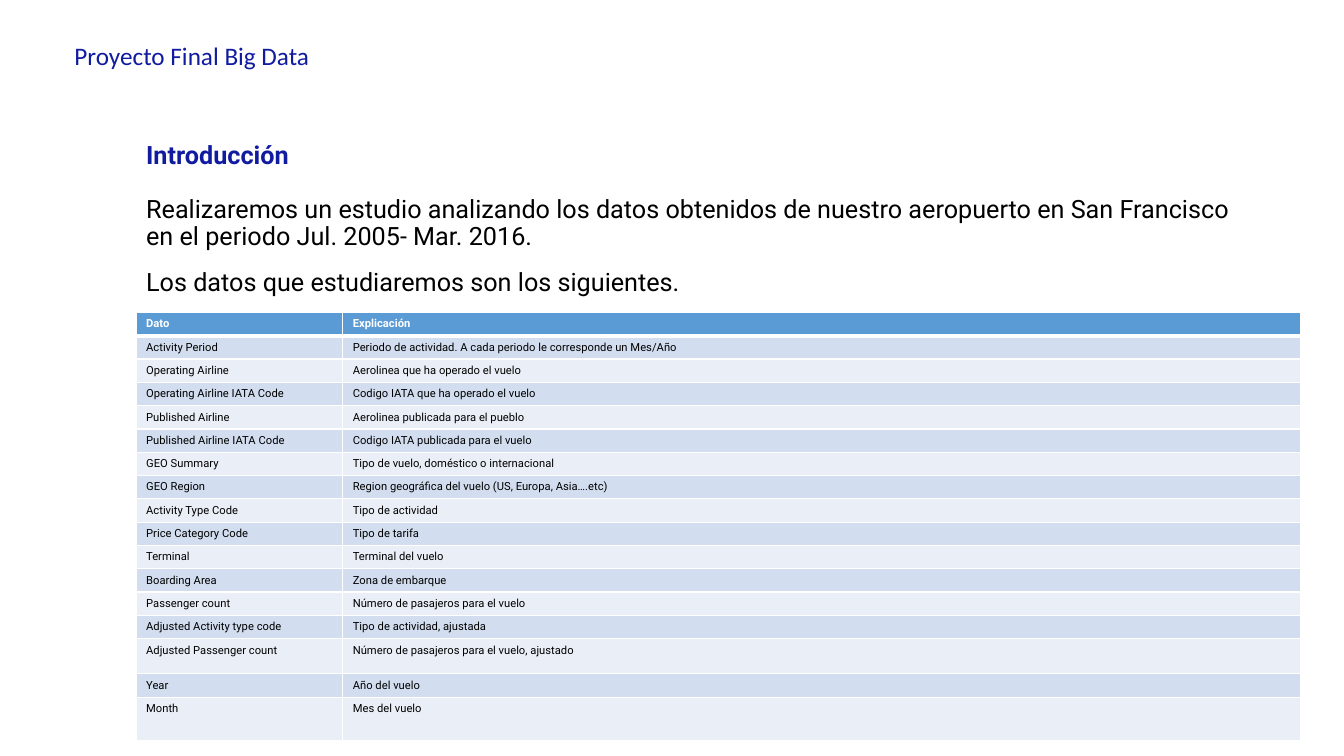
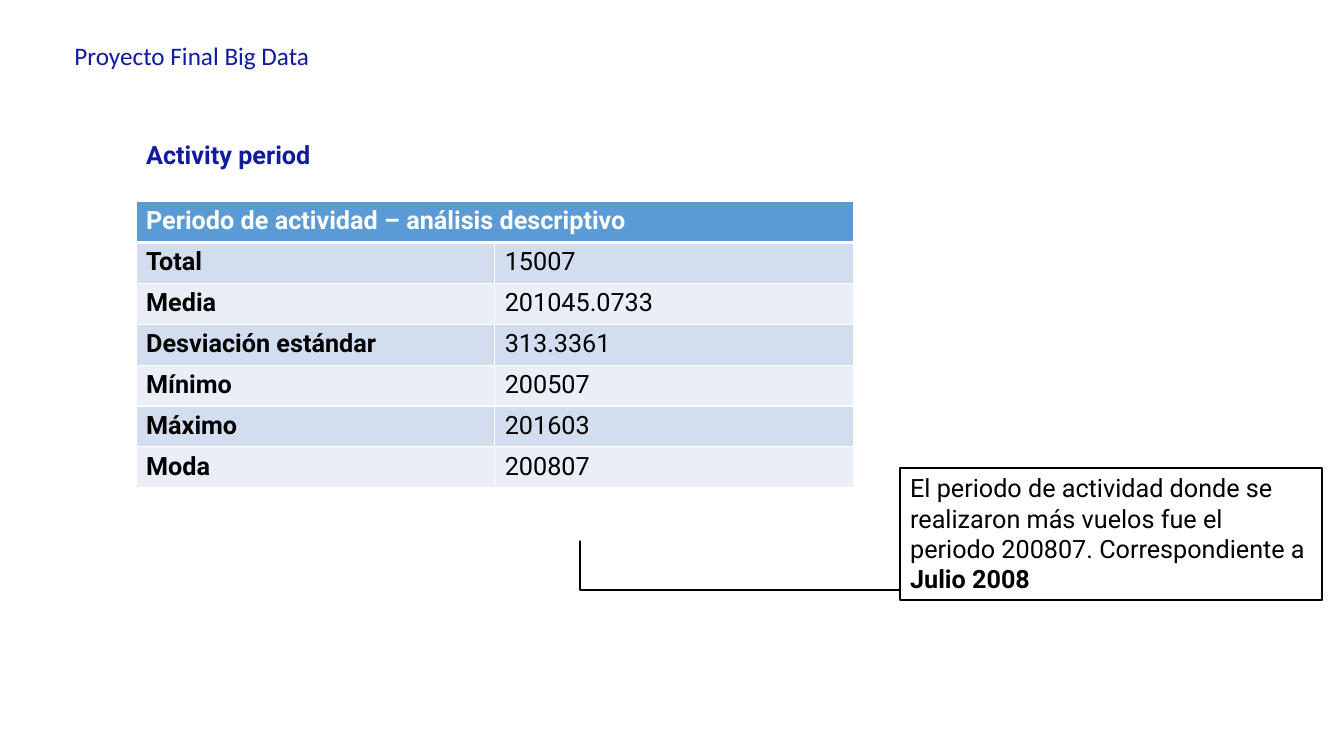
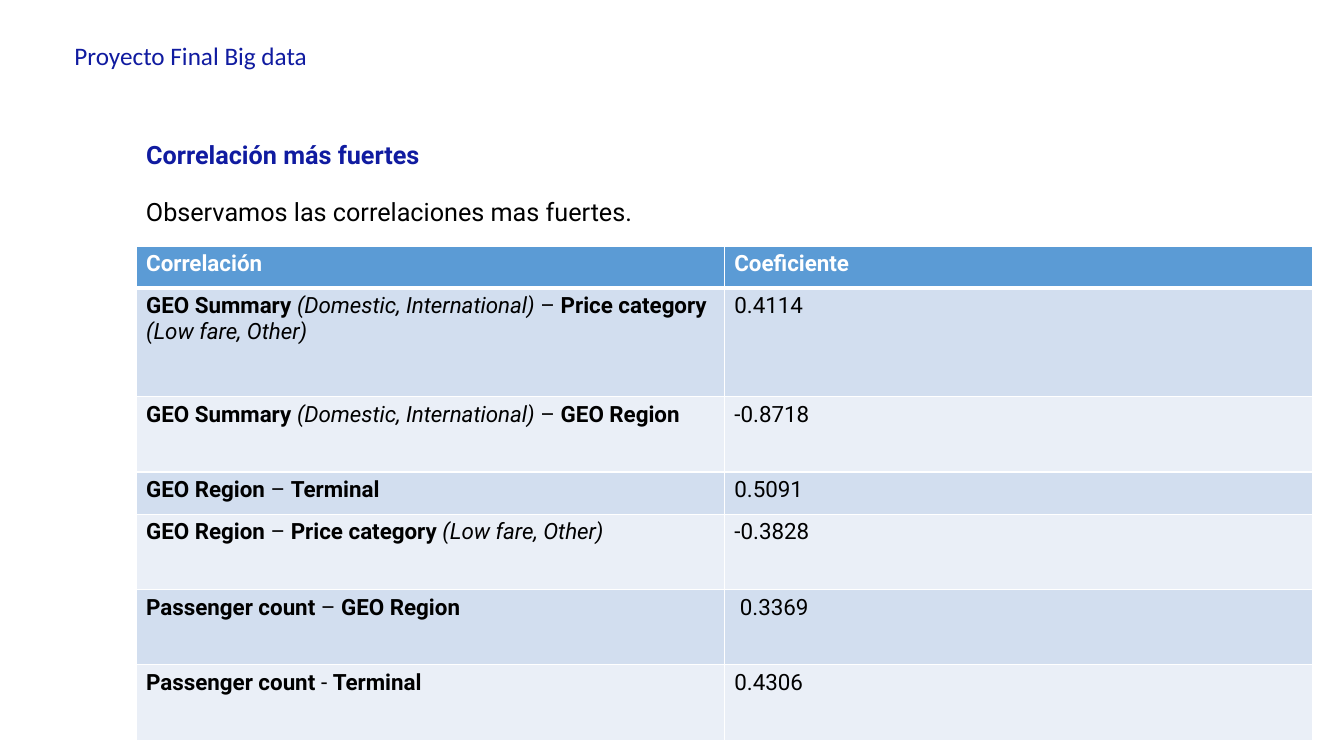
from dataclasses import dataclass
from typing import Any

from pptx import Presentation
from pptx import util as u
from pptx.dml import color as c
from pptx.enum import shapes as s
from pptx.enum import text as t
from pptx.oxml import ns
from pptx.oxml import xmlchemy as x

Pt = u.Pt
INK = {"navy": "101BA0", "black": "000000", "white": "FFFFFF",
       "head": "5B9BD5", "odd": "D2DEEF", "even": "EAEFF7"}

# Text formats
BODY = {"name": "Roboto", "size": Pt(18), "bold": False, "italic": False, "color": "black"}
TITLE = BODY | {"bold": True, "color": "navy"}
TOP = BODY | {"name": "Calibri", "color": "navy"}
BOLD = {"bold": True}
SLANT = {"italic": True}
LEFT = 97.2


@dataclass(frozen=True)
class Box:
    left: float
    top: float
    width: float
    height: float

    def place(self) -> tuple:
        return Pt(self.left), Pt(self.top), Pt(self.width), Pt(self.height)


@dataclass(frozen=True)
class Grid:
    top: float
    cols: list[float]
    rows: list[float]
    cells: list[tuple]
    size: float


TITLE_BOX = Box(LEFT, 97.2, 812.2, 29.5)
TOP_BOX = Box(46, 27.4, 368, 33.8)
INTRO_BOX = Box(LEFT, 136.8, 812.2, 77.8)
NOTE_BOX = Box(LEFT, 136.8, 612, 28.8)
CALL_BOX = Box(643, 334, 301, 94.3)


# Text helpers
def style(font: Any, form: dict) -> None:
    for key, val in form.items():
        if key == "color":
            font.color.rgb = c.RGBColor.from_string(INK[val])
        else:
            setattr(font, key, val)


def write(para: Any, text: Any, form: dict) -> None:
    """Text is a string, or a list of (string, extra format) runs."""
    para.alignment = t.PP_ALIGN.LEFT
    for part, extra in [(text, {})] if isinstance(text, str) else text:
        run = para.add_run()
        run.text = part
        style(run.font, form | extra)


def fill_holder(shape: Any, box: Box, lines: list[str], form: dict, anchor: Any) -> None:
    shape.left, shape.top, shape.width, shape.height = box.place()
    frame = shape.text_frame
    opts = {"word_wrap": True, "auto_size": t.MSO_AUTO_SIZE.NONE, "vertical_anchor": anchor}
    for key, val in opts.items():
        setattr(frame, key, val)
    for num, line in enumerate(lines):
        para = frame.add_paragraph() if num else frame.paragraphs[0]
        props = para._p.get_or_add_pPr()
        props.set("marL", "0")
        props.set("indent", "0")
        props.append(x.OxmlElement("a:buNone"))
        para.line_spacing = 0.9
        para.space_before = Pt(13.3 if num else 0)
        write(para, line, form)


def add_note(slide: Any, box: Box, text: Any) -> Any:
    note = slide.shapes.add_textbox(*box.place())
    note.text_frame.word_wrap = True
    note.text_frame.auto_size = t.MSO_AUTO_SIZE.SHAPE_TO_FIT_TEXT
    write(note.text_frame.paragraphs[0], text, BODY)
    return note


# Table helpers
def add_edge(cell: Any, side: str, width: float) -> None:
    line = x.OxmlElement(f"a:ln{side}")
    line.set("w", str(Pt(width)))
    fill = x.OxmlElement("a:solidFill")
    tint = x.OxmlElement("a:srgbClr")
    tint.set("val", INK["white"])
    fill.append(tint)
    line.append(fill)
    cell._tc.get_or_add_tcPr().append(line)


def add_grid(slide: Any, grid: Grid) -> Any:
    box = Box(LEFT, grid.top, sum(grid.cols), sum(grid.rows))
    table = slide.shapes.add_table(len(grid.rows), len(grid.cols), *box.place()).table
    for col, width in zip(table.columns, grid.cols):
        col.width = Pt(width)
    for num, (row, height, texts) in enumerate(zip(table.rows, grid.rows, grid.cells)):
        row.height = Pt(height)
        tone = ("even", "odd")[num % 2] if num else "head"
        form = BODY | {"size": Pt(grid.size)}
        if not num:
            form |= {"bold": True, "color": "white"}
        for cell, text in zip(row.cells, texts):
            edges = {"L": 1, "R": 1, "T": 3 if num == 1 else 1, "B": 1 if num else 3}
            for side, width in edges.items():
                add_edge(cell, side, width)
            cell.fill.solid()
            cell.fill.fore_color.rgb = c.RGBColor.from_string(INK[tone])
            if text:
                write(cell.text_frame.paragraphs[0], text, form)
    return table


# Shared slide frame: title, running header and optional intro
def add_slide(deck: Any, title: str, top: str, intro: list[str] | None = None) -> Any:
    slide = deck.slides.add_slide(deck.slide_layouts[3 if intro else 1])
    hold = list(slide.placeholders)
    anchor = t.MSO_ANCHOR
    fill_holder(hold[0], TITLE_BOX, [title], TITLE, anchor.MIDDLE)
    fill_holder(hold[1], TOP_BOX, [top], TOP, anchor.TOP)
    if intro:
        fill_holder(hold[2], INTRO_BOX, intro, BODY, anchor.TOP)
    return slide


def add_elbow(slide: Any, start: tuple, end: tuple) -> None:
    link = slide.shapes.add_connector(s.MSO_CONNECTOR.ELBOW, *map(Pt, start + end))
    link.line.width = Pt(1.5)
    link.line.color.rgb = c.RGBColor.from_string(INK["black"])
    props = link._element.spPr
    props.append(x.OxmlElement("a:effectLst"))
    bend = x.OxmlElement("a:gd")
    bend.set("name", "adj1")
    bend.set("fmla", "val 100")
    props.find(ns.qn("a:prstGeom")).get_or_add_avLst().append(bend)


# Table contents
FIELDS = [
    ("Dato", "Explicación"),
    ("Activity Period", "Periodo de actividad. A cada periodo le corresponde un Mes/Año"),
    ("Operating Airline", "Aerolinea que ha operado el vuelo"),
    ("Operating Airline IATA Code", "Codigo IATA que ha operado el vuelo"),
    ("Published Airline", "Aerolinea publicada para el pueblo"),
    ("Published Airline IATA Code", "Codigo IATA publicada para el vuelo"),
    ("GEO Summary", "Tipo de vuelo, doméstico o internacional"),
    ("GEO Region", "Region geográfica del vuelo (US, Europa, Asia….etc)"),
    ("Activity Type Code", "Tipo de actividad"),
    ("Price Category Code", "Tipo de tarifa"),
    ("Terminal", "Terminal del vuelo"),
    ("Boarding Area", "Zona de embarque"),
    ("Passenger count", "Número de pasajeros para el vuelo"),
    ("Adjusted Activity type code", "Tipo de actividad, ajustada"),
    ("Adjusted Passenger count", "Número de pasajeros para el vuelo, ajustado"),
    ("Year", "Año del vuelo"),
    ("Month", "Mes del vuelo"),
]
STATS = [
    ("Total", "15007"), ("Media", "201045.0733"), ("Desviación estándar", "313.3361"),
    ("Mínimo", "200507"), ("Máximo", "201603"), ("Moda", "200807"),
]
DASH = (" – ", {})
SCOPE = [("GEO Summary ", BOLD), ("(Domestic, International)", SLANT), DASH]
PRICE = [("Price category ", BOLD), ("(Low fare, Other)", SLANT)]
ZONE = ("GEO Region", BOLD)
GATE = ("Terminal", BOLD)
LINKS = [
    ("Correlación", "Coeficiente"),
    (SCOPE + PRICE, "0.4114"),
    (SCOPE + [ZONE], "-0.8718"),
    ([ZONE, DASH, GATE], "0.5091"),
    ([ZONE, DASH] + PRICE, "-0.3828"),
    ([("Passenger count", BOLD), DASH, ZONE], " 0.3369"),
    ([("Passenger count ", BOLD), ("- ", {}), GATE], "0.4306"),
]


def main() -> None:
    deck = Presentation()
    deck.slide_width, deck.slide_height = Pt(960), Pt(540)

    # Introduction
    slide = add_slide(deck, "Introducción", "Proyecto Final Big Data", [
        "Realizaremos un estudio analizando los datos obtenidos de nuestro aeropuerto "
        "en San Francisco en el periodo Jul. 2005- Mar. 2016.",
        "Los datos que estudiaremos son los siguientes.",
    ])
    rows = [16.64] * 14 + [25.2, 16.64, 31]
    add_grid(slide, Grid(223.2, [147.6, 684], rows, FIELDS, 8))

    # Activity period
    slide = add_slide(deck, "Activity period", "Proyecto Final Big Data")
    cells = [("Periodo de actividad – análisis descriptivo", "")]
    cells += [([(name, BOLD)], val) for name, val in STATS]
    table = add_grid(slide, Grid(144, [256.2] * 2, [29.2] * 7, cells, 18))
    table.cell(0, 0).merge(table.cell(0, 1))
    call = add_note(slide, CALL_BOX, [
        ("El periodo de actividad donde se realizaron más vuelos fue el periodo 200807. "
         "Correspondiente a ", {}), ("Julio 2008", BOLD)])
    call.line.width = Pt(1.5)
    call.line.color.rgb = c.RGBColor.from_string(INK["black"])
    add_elbow(slide, (414, 386.6), (CALL_BOX.left, 421.2))

    # Strongest correlations
    slide = add_slide(deck, "Correlación más fuertes", "Proyecto Final Big data")
    rows = [30.2, 77.5, 53.8, 30.2] + [53.8] * 3
    add_grid(slide, Grid(175.7, [420.2] * 2, rows, LINKS, 16))
    add_note(slide, NOTE_BOX, "Observamos las correlaciones mas fuertes.")

    deck.save("out.pptx")


if __name__ == "__main__":
    main()
